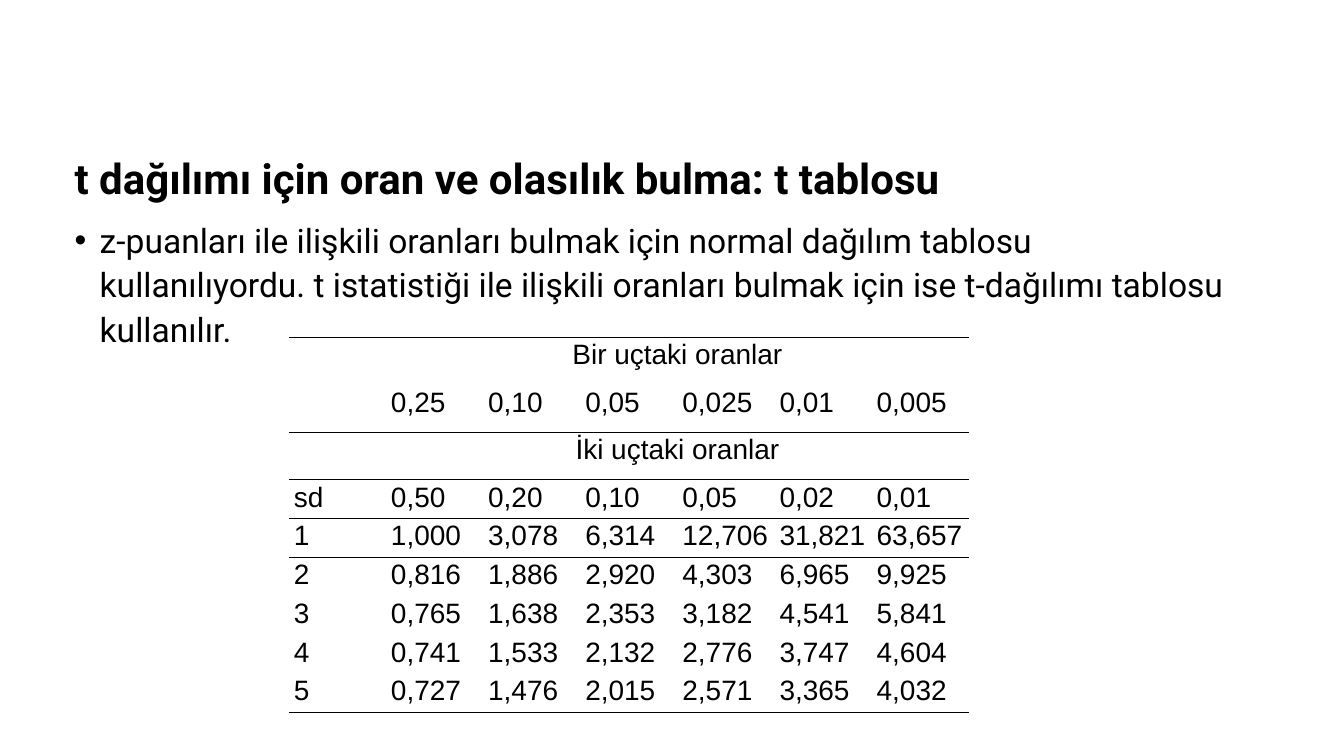
from lxml.etree import SubElement
from pptx import Presentation
from pptx.dml.color import RGBColor
from pptx.enum.text import MSO_ANCHOR, MSO_AUTO_SIZE, PP_ALIGN
from pptx.oxml import parse_xml
from pptx.oxml.ns import nsdecls, qn
from pptx.util import Pt

HUES = {"ink": "000000"}
HEAD = {"name": "Roboto", "size": Pt(60), "bold": True}
BODY = {"name": "Roboto", "size": Pt(48), "bold": False}
CELL = {"name": "Arial", "size": Pt(40), "bold": False}
FRAME = {"word_wrap": True, "auto_size": MSO_AUTO_SIZE.NONE,
         "vertical_anchor": MSO_ANCHOR.TOP, "margin_left": Pt(7.2),
         "margin_right": Pt(7.2), "margin_top": Pt(7.2), "margin_bottom": Pt(7.2)}
PLAIN = "{2D5ABB26-0587-4C30-8999-92F81FD0307C}"

TITLE = "t dağılımı için oran ve olasılık bulma: t tablosu"
POINT = ("z-puanları ile ilişkili oranları bulmak için normal dağılım tablosu "
         "kullanılıyordu. t istatistiği ile ilişkili oranları bulmak için ise "
         "t-dağılımı tablosu kullanılır.")
ROWS = [
    ["", "Bir uçtaki oranlar"],
    ["", "0,25", "0,10", "0,05", "0,025", "0,01", "0,005"],
    ["", "İki uçtaki oranlar"],
    ["sd", "0,50", "0,20", "0,10", "0,05", "0,02", "0,01"],
    ["1", "1,000", "3,078", "6,314", "12,706", "31,821", "63,657"],
    ["2", "0,816", "1,886", "2,920", "4,303", "6,965", "9,925"],
    ["3", "0,765", "1,638", "2,353", "3,182", "4,541", "5,841"],
    ["4", "0,741", "1,533", "2,132", "2,776", "3,747", "4,604"],
    ["5", "0,727", "1,476", "2,015", "2,571", "3,365", "4,032"],
]
HEADS = 3
EDGES = {0: ["lnT"], 2: ["lnT"], 4: ["lnT"], 8: ["lnB"]}


def style(item, form):
    """Set each attribute of an object from a dict of values."""
    for key, value in form.items():
        setattr(item, key, value)


def write(para, text, form, align=PP_ALIGN.LEFT):
    """Put one run of formatted text in a paragraph."""
    run = para.add_run()
    run.text = text
    style(run.font, form)
    run.font.color.rgb = RGBColor.from_string(HUES["ink"])
    para.alignment = align


def fill(shape, box, text, form):
    """Place a text shape in its box, write its text and return the paragraph."""
    style(shape, dict(zip(("left", "top", "width", "height"), map(Pt, box))))
    style(shape.text_frame, FRAME)
    para = shape.text_frame.paragraphs[0]
    write(para, text, form)
    style(para, {"line_spacing": 1.1, "space_before": Pt(0)})
    return para


def add_point(slide, box, text):
    """Add a bulleted paragraph in the given box."""
    shape = slide.shapes.add_textbox(*map(Pt, box))
    props = fill(shape, box, text, BODY)._p.get_or_add_pPr()
    props.set("marL", str(Pt(36)))
    props.set("indent", str(Pt(-36)))
    SubElement(props, qn("a:buFont")).set("typeface", "Arial")
    SubElement(props, qn("a:buChar")).set("char", "•")


def rule(cell, edge):
    """Draw a thin line on one edge of a cell."""
    line = parse_xml(
        f'<a:{edge} {nsdecls("a")} w="{Pt(1)}"><a:solidFill>'
        f'<a:srgbClr val="{HUES["ink"]}"/></a:solidFill></a:{edge}>')
    cell._tc.get_or_add_tcPr().insert(0, line)


def add_rates(slide, box, rows):
    """Add the t table, with its column heads spanning the rates."""
    left, top, width, tall, low = box
    count = max(map(len, rows))
    high = tall * HEADS + low * (len(rows) - HEADS)
    frame = slide.shapes.add_table(
        len(rows), count, Pt(left), Pt(top), Pt(width), Pt(high))
    table = frame.table
    style(table, {"first_row": False, "horz_banding": False})
    table._tbl.tblPr.find(qn("a:tableStyleId")).text = PLAIN
    for col in table.columns:
        col.width = Pt(width / count)
    for i, row in enumerate(rows):
        table.rows[i].height = Pt(tall if i < HEADS else low)
        span = len(row) < count
        if span:
            table.cell(i, 1).merge(table.cell(i, count - 1))
        for j in range(count):
            cell = table.cell(i, j)
            cell.fill.background()
            for edge in EDGES.get(i, []):
                rule(cell, edge)
            if j < len(row) and row[j]:
                align = PP_ALIGN.CENTER if span else PP_ALIGN.LEFT
                write(cell.text_frame.paragraphs[0], row[j], CELL, align)


def main():
    """Build the slide and save it."""
    deck = Presentation()
    style(deck, {"slide_width": Pt(1920), "slide_height": Pt(1080)})
    slide = deck.slides.add_slide(deck.slide_layouts[5])
    fill(slide.shapes.title, (99.4, 203.8, 1688.4, 92), TITLE, HEAD)
    add_point(slide, (99.4, 301, 1688.4, 260.6), POINT)
    add_rates(slide, (412.6, 481.7, 971.3, 67.7, 55.4), ROWS)
    deck.save("out.pptx")


if __name__ == "__main__":
    main()
